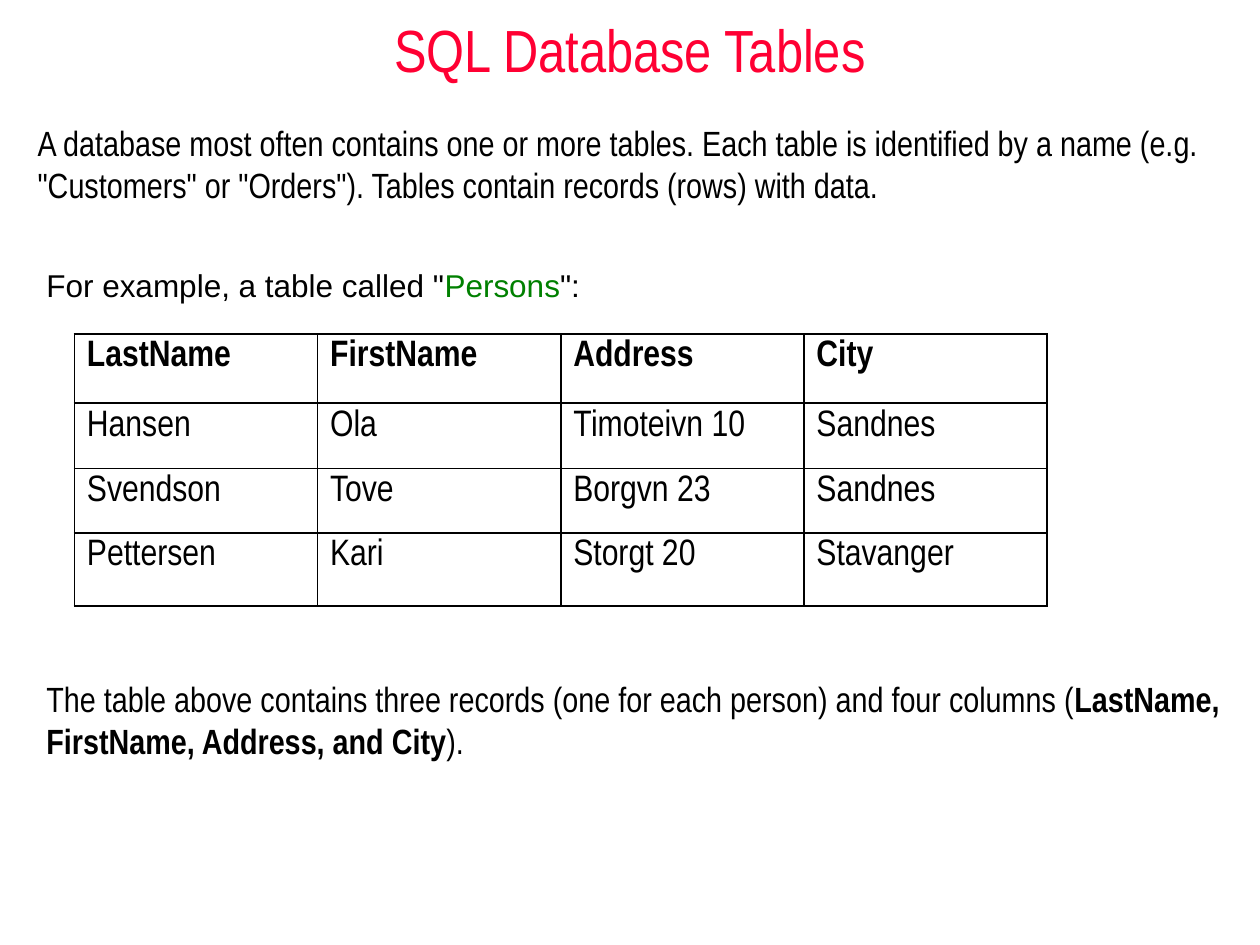
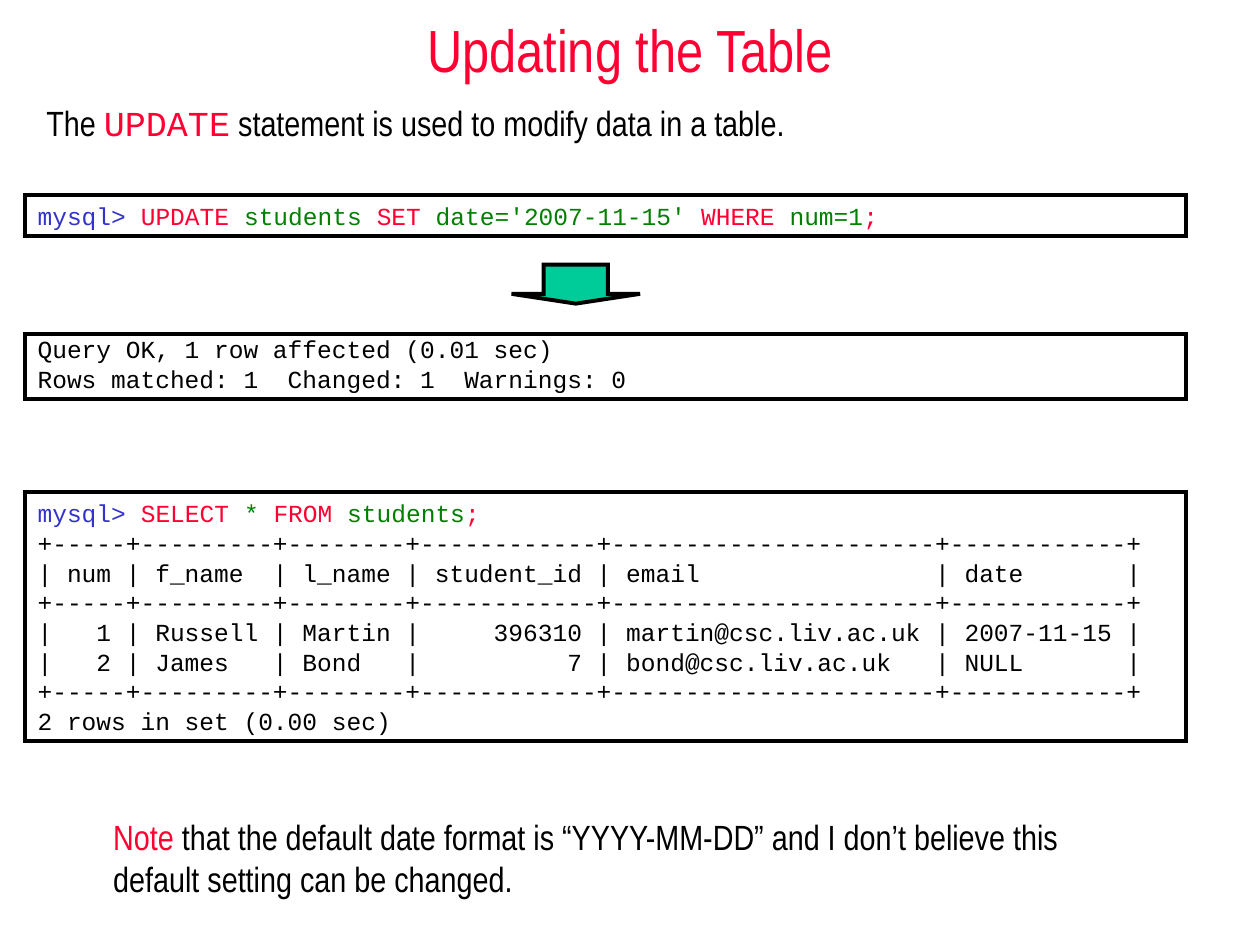
from lxml.etree import SubElement
from pptx import Presentation
from pptx.dml.color import RGBColor
from pptx.enum.shapes import MSO_SHAPE
from pptx.enum.text import MSO_ANCHOR, PP_ALIGN
from pptx.oxml import parse_xml
from pptx.oxml.ns import nsdecls, qn
from pptx.util import Inches, Pt

# Shared look
RED, GREEN, BLUE, BLACK, TEAL = "FF0033", "008000", "3333CC", "000000", "00CC99"
NARROW, SANS, MONO = "Arial Narrow", "Arial", "Courier New"
WIDTH, HEIGHT = Inches(10), Inches(7.5)
CODE_LEFT, CODE_WIDTH = 2, 92.1
TEXT_LEFT, TEXT_WIDTH = 2.7, 97.3
TIGHT = 0.8

# Slide content: a paragraph is a list of (text, colour, optional font or bold)
PERSONS = [
    ["LastName", "FirstName", "Address", "City"],
    ["Hansen", "Ola", "Timoteivn 10", "Sandnes"],
    ["Svendson", "Tove", "Borgvn 23", "Sandnes"],
    ["Pettersen", "Kari", "Storgt 20", "Stavanger"],
]
PERSON_ROW_HEIGHTS = [7.33, 6.93, 6.8, 7.73]
PROMPT = ("mysql> ", BLUE)
UPDATE = [PROMPT, ("UPDATE ", RED), ("students ", GREEN), ("SET ", RED),
          ("date='2007-11-15' ", GREEN), ("WHERE ", RED), ("num=1", GREEN), (";", RED)]
SELECT = [PROMPT, ("SELECT ", RED), ("* ", GREEN), ("FROM ", RED),
          ("students", GREEN), (";", RED)]
UPDATE_RESULT = ["Query OK, 1 row affected (0.01 sec)",
                 "Rows matched: 1  Changed: 1  Warnings: 0"]
RULE = "+" + "+".join("-" * n for n in (5, 9, 8, 12, 22, 12)) + "+"
SELECT_RESULT = [
    RULE,
    "| num | f_name  | l_name | student_id | email                | date       |",
    RULE,
    "|   1 | Russell | Martin |     396310 | martin@csc.liv.ac.uk | 2007-11-15 |",
    "|   2 | James   | Bond   |          7 | bond@csc.liv.ac.uk   | NULL       |",
    RULE,
    "2 rows in set (0.00 sec)",
]


def color(hex_string):
    return RGBColor.from_string(hex_string)


def place(x, y, w, h):
    """Turn percentages of the slide into lengths."""
    return (int(WIDTH * x / 100), int(HEIGHT * y / 100),
            int(WIDTH * w / 100), int(HEIGHT * h / 100))


def write(tf, paragraphs, size, font=NARROW, align=PP_ALIGN.LEFT, gap=0, spacing=1.0):
    tf.word_wrap = True
    for i, runs in enumerate(paragraphs):
        p = tf.add_paragraph() if i else tf.paragraphs[0]
        p.alignment = align
        p.line_spacing = spacing
        p.space_before = Pt(gap if i else 0)
        p.font.size, p.font.name = Pt(size), font
        for text, ink, *style in runs:
            r = p.add_run()
            r.text = text
            r.font.color.rgb = color(ink)
            if "bold" in style:
                r.font.bold = True
            elif style:
                r.font.name = style[0]


def add_text(slide, box, paragraphs, size=20, **layout):
    tf = slide.shapes.add_textbox(*place(*box)).text_frame
    write(tf, paragraphs, size, **layout)
    return tf


def add_outlined(slide, kind, box, fill=None):
    sp = slide.shapes.add_shape(kind, *place(*box))
    sp.shadow.inherit = False
    if fill:
        sp.fill.solid()
        sp.fill.fore_color.rgb = color(fill)
    else:
        sp.fill.background()
    sp.line.color.rgb = color(BLACK)
    sp.line.width = Pt(2.25)
    # Sharp corners
    SubElement(sp._element.spPr.find(qn("a:ln")), qn("a:miter")).set("lim", "800000")
    return sp


def add_code(slide, top, height, statement=None, output=()):
    """Framed console text: a coloured statement, its output, or both."""
    sp = add_outlined(slide, MSO_SHAPE.RECTANGLE, (CODE_LEFT, top, CODE_WIDTH, height))
    tf = sp.text_frame
    tf.vertical_anchor = MSO_ANCHOR.TOP
    lines = [[(line, BLACK)] for line in output]
    if statement:
        lines.insert(0, statement)
    write(tf, lines, 14, MONO, gap=3.5, spacing=TIGHT)
    if statement:
        tf.paragraphs[0].line_spacing = 1.0


def border_cell(cell):
    cell.fill.background()
    tc_pr = cell._tc.get_or_add_tcPr()
    for i, side in enumerate(("lnL", "lnR", "lnT", "lnB")):
        ln = parse_xml(f'<a:{side} {nsdecls("a")} w="{Pt(1.08)}"/>')
        fill = SubElement(ln, qn("a:solidFill"))
        SubElement(fill, qn("a:srgbClr")).set("val", BLACK)
        tc_pr.insert(i, ln)


def add_grid(slide, left, top, width, rows, heights):
    box = place(left, top, width, sum(heights))
    table = slide.shapes.add_table(len(rows), len(rows[0]), *box).table
    table.first_row = table.horz_banding = False
    for i, row in enumerate(rows):
        table.rows[i].height = int(HEIGHT * heights[i] / 100)
        for j, text in enumerate(row):
            cell = table.cell(i, j)
            write(cell.text_frame, [[(text, BLACK)]], 21)
            cell.text_frame.paragraphs[0].font.bold = i == 0
            border_cell(cell)


def add_slide(prs, title):
    slide = prs.slides.add_slide(prs.slide_layouts[6])
    tf = add_text(slide, (0, 0, 100, 10.4), [[(title, RED)]], 34, align=PP_ALIGN.CENTER)
    tf.vertical_anchor = MSO_ANCHOR.MIDDLE
    return slide


def build_tables_slide(prs):
    slide = add_slide(prs, "SQL Database Tables")
    add_text(slide, (2, 12.2, 98, 12.53), [[(
        "A database most often contains one or more tables. Each table is identified "
        'by a name (e.g. "Customers" or "Orders"). Tables contain records (rows) '
        "with data.", BLACK)]])
    add_text(slide, (TEXT_LEFT, 27.9, 74.4, 4.93), [[
        ('For example, a table called "', BLACK), ("Persons", GREEN), ('":', BLACK)]],
        18, font=SANS, spacing=0.9)
    add_grid(slide, 5.9, 35.33, 77.2, PERSONS, PERSON_ROW_HEIGHTS)
    add_text(slide, (TEXT_LEFT, 71, TEXT_WIDTH, 10.27), [[
        ("The table above contains three records (one for each person) "
         "and four columns (", BLACK),
        ("LastName, FirstName, Address, and City", BLACK, "bold"),
        (").", BLACK)]])


def build_update_slide(prs):
    slide = add_slide(prs, "Updating the Table")
    add_text(slide, (TEXT_LEFT, 10.13, TEXT_WIDTH, 6.27), [[
        ("The ", BLACK), ("UPDATE", RED, MONO),
        (" statement is used to modify data in a table.", BLACK)]])

    # Statement, arrow and result, then the table after the change
    add_code(slide, 20.6, 4.4, UPDATE)
    arrow = add_outlined(slide, MSO_SHAPE.DOWN_ARROW, (40.6, 28, 10.2, 4.13), TEAL)
    arrow.adjustments[0], arrow.adjustments[1] = 0.5, 0.25
    add_code(slide, 35.33, 6.93, output=UPDATE_RESULT)
    add_code(slide, 52.07, 26.33, SELECT, SELECT_RESULT)

    add_text(slide, (8, 86.47, 80, 9.47), [
        [("Note", RED),
         (" that the default date format is “YYYY-MM-DD” and I don’t believe this", BLACK)],
        [("default setting can be changed.", BLACK)]], gap=5, spacing=TIGHT)


def main():
    prs = Presentation()
    prs.slide_width, prs.slide_height = WIDTH, HEIGHT
    build_tables_slide(prs)
    build_update_slide(prs)
    prs.save("out.pptx")


if __name__ == "__main__":
    main()
